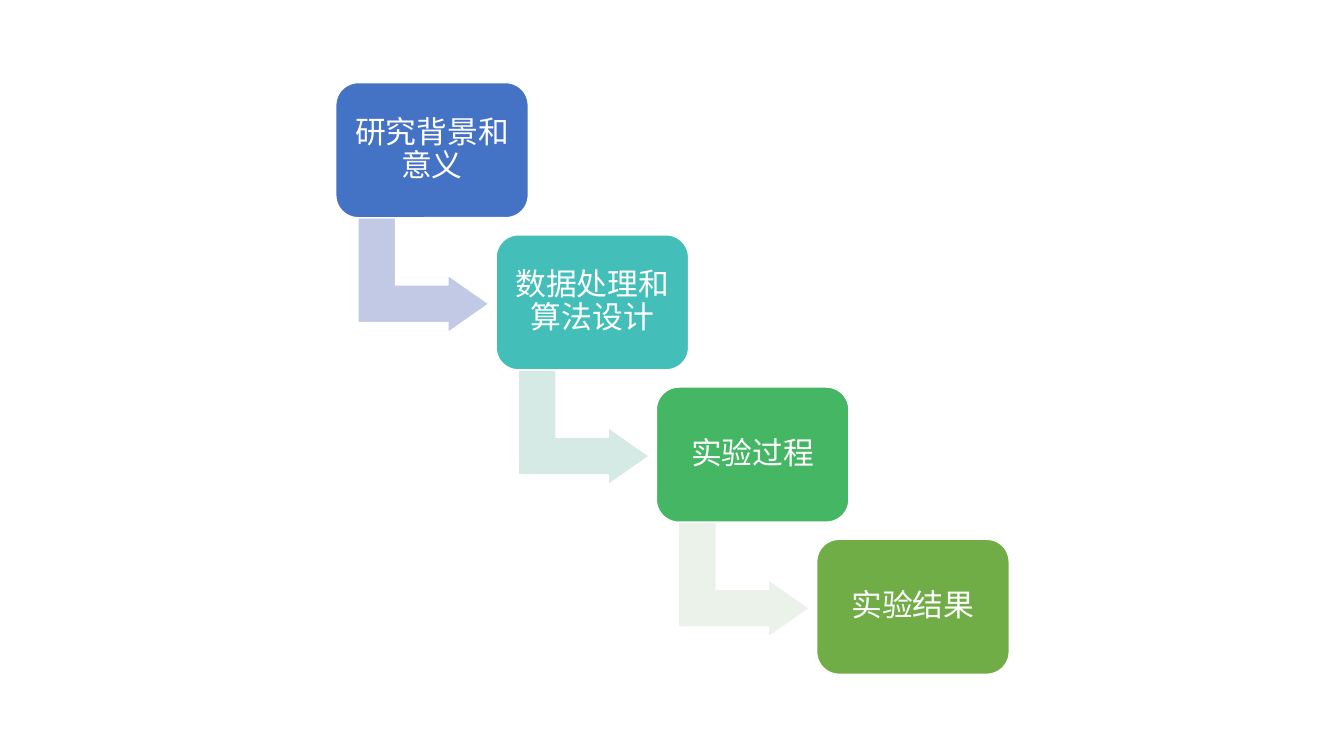
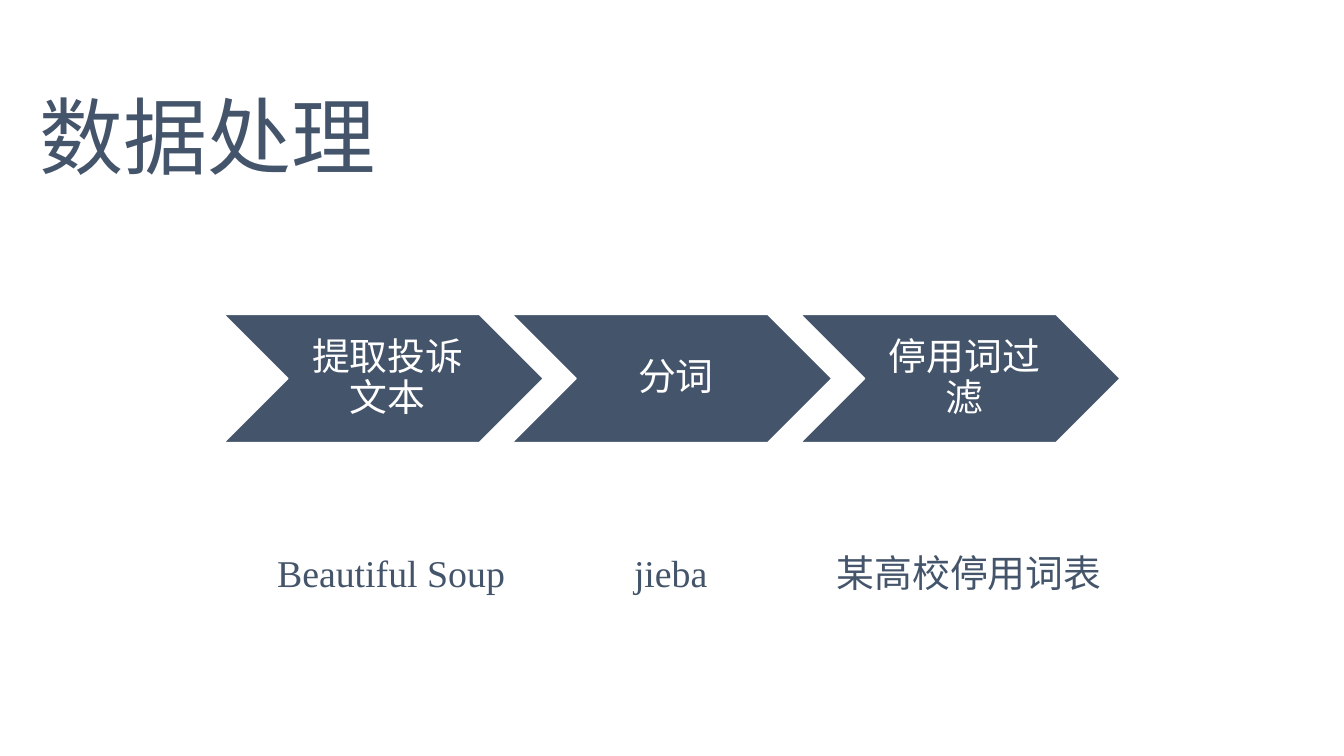
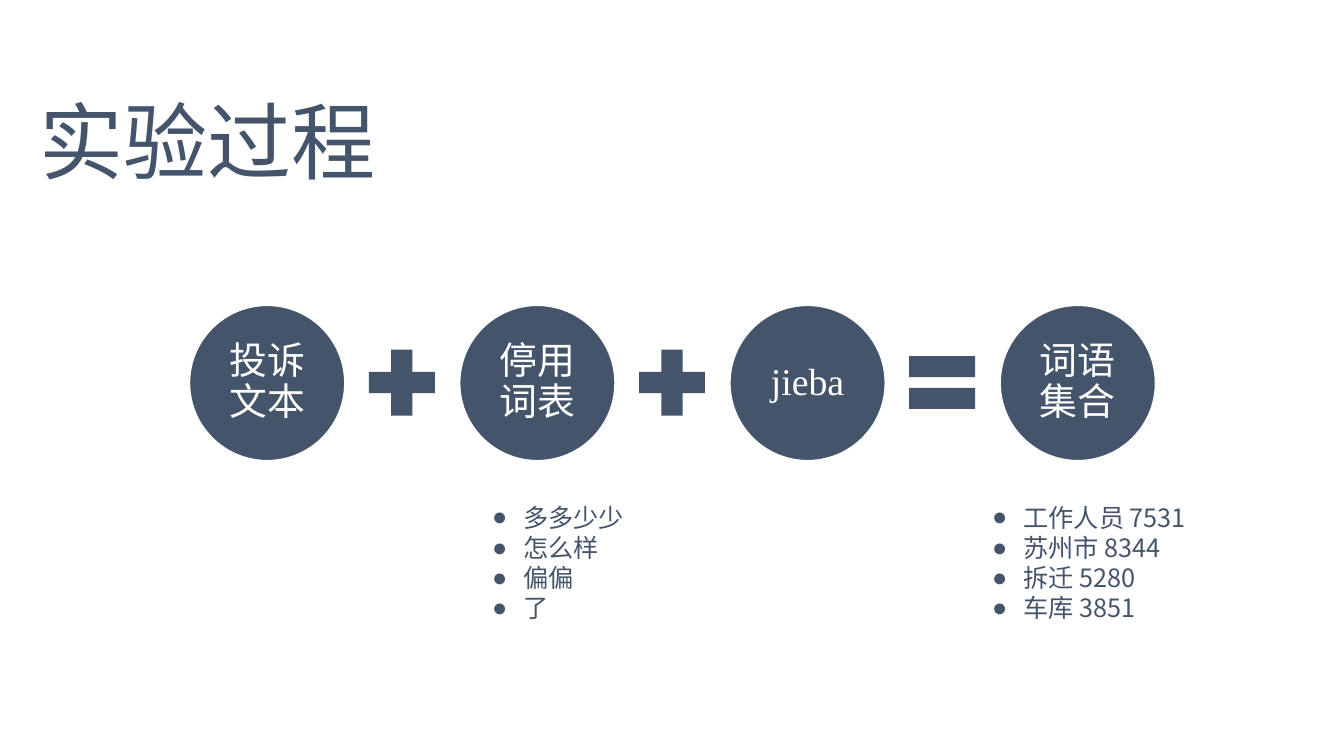
from lxml import etree
from pptx import Presentation
from pptx.dml.color import RGBColor
from pptx.enum.shapes import MSO_SHAPE as Shape
from pptx.enum.text import MSO_ANCHOR as Anchor, MSO_AUTO_SIZE as AutoSize, PP_ALIGN as Align
from pptx.oxml.ns import qn
from pptx.util import Inches, Pt

COLORS = {"slate": "44546A", "white": "FFFFFF"}
CHINESE, LATIN = "Noto Sans CJK SC", "Times New Roman"

# text, box colour, colour of the arrow to the next box
STEPS = [
    ("研究背景和意义", "4472C4", "C1C9E4"),
    ("数据处理和算法设计", "43BEB9", "D6EAE5"),
    ("实验过程", "45B664", "EBF2E9"),
    ("实验结果", "70AD47", None),
]
# stage, tool, left and width of the tool's caption
STAGES = [
    ("提取投诉文本", "Beautiful Soup", 2.65, 2.48),
    ("分词", "jieba", 6.19, 1.0),
    ("停用词过滤", "某高校停用词表", 8.2, 2.9),
]
# term, operator that follows it
EQUATION = [
    ("投诉文本", Shape.MATH_PLUS),
    ("停用词表", Shape.MATH_PLUS),
    ("jieba", Shape.MATH_EQUAL),
    ("词语集合", None),
]
# left, width, items
EXAMPLES = [
    (4.78, 1.73, ["多多少少", "怎么样", "偏偏", "了"]),
    (9.74, 2.28, ["工作人员 7531", "苏州市 8344", "拆迁 5280", "车库 3851"]),
]


def rgb(color):
    return RGBColor.from_string(COLORS.get(color, color))


def place(shape, left, top, width, height):
    shape.left, shape.top = Inches(left), Inches(top)
    shape.width, shape.height = Inches(width), Inches(height)


def style(paragraph, size, color):
    """Set the font, for Chinese glyphs as well as Latin ones."""
    font = paragraph.font
    font.size = Pt(size)
    font.color.rgb = rgb(color)
    font.name = LATIN if paragraph.text.isascii() else CHINESE
    latin = paragraph._p.pPr.find(qn("a:defRPr")).find(qn("a:latin"))
    east_asian = etree.Element(qn("a:ea"), typeface=CHINESE)
    latin.addnext(east_asian)


def write(shape, lines, size, color="slate", align=Align.LEFT, anchor=Anchor.TOP):
    frame = shape.text_frame
    frame.text = "\n".join(lines)
    frame.word_wrap = True
    frame.auto_size = AutoSize.NONE
    frame.vertical_anchor = anchor
    for paragraph in frame.paragraphs:
        paragraph.alignment = align
        paragraph.space_before = Pt(0)
        style(paragraph, size, color)


def add_figure(slide, kind, left, top, width, height, fill="slate", outlined=True):
    shape = slide.shapes.add_shape(kind, Inches(left), Inches(top), Inches(width), Inches(height))
    shape.shadow.inherit = False
    shape.fill.solid()
    shape.fill.fore_color.rgb = rgb(fill)
    if outlined:
        shape.line.color.rgb = rgb("white")
        shape.line.width = Pt(1)
    else:
        shape.line.fill.background()
    return shape


def label(shape, text, size, inset, left_inset=None):
    write(shape, [text], size, "white", Align.CENTER, Anchor.MIDDLE)
    frame = shape.text_frame
    frame.margin_left = Inches(left_inset or inset)
    frame.margin_right = frame.margin_top = frame.margin_bottom = Inches(inset)
    frame.paragraphs[0].line_spacing = 0.9


def set_title(slide, text, top):
    place(slide.shapes.title, 0.29, top, 3.62, 1.11)
    write(slide.shapes.title, [text], 60)


def add_bullets(shape):
    for paragraph in shape.text_frame.paragraphs:
        properties = paragraph._p.pPr
        properties.set("marL", str(Inches(0.31)))
        properties.set("indent", str(-Inches(0.31)))
        bullet = etree.Element(qn("a:buChar"), char="●")
        properties.find(qn("a:defRPr")).addprevious(bullet)


def build_outline(slide):
    for index, (text, fill, arrow_fill) in enumerate(STEPS):
        left, top = 3.33 + 1.59 * index, 0.82 + 1.51 * index
        if arrow_fill:
            arrow = add_figure(slide, Shape.BENT_UP_ARROW, left + 0.3, top + 1.26, 1.14, 1.3, arrow_fill)
            arrow.rotation = 90
            for number, value in enumerate((0.328, 0.25, 0.358)):
                arrow.adjustments[number] = value
        box = add_figure(slide, Shape.ROUNDED_RECTANGLE, left, top, 1.91, 1.34, fill)
        label(box, text, 22, 0.09)


def build_processing(slide):
    set_title(slide, "数据处理", 0.79)
    for index, (stage, tool, caption_left, caption_width) in enumerate(STAGES):
        chevron = add_figure(slide, Shape.CHEVRON, 2.22 + 2.86 * index, 3.12, 3.17, 1.27)
        label(chevron, stage, 27, 0.04, left_inset=0.12)
        caption = slide.shapes.add_textbox(
            Inches(caption_left), Inches(5.4), Inches(caption_width), Inches(0.56))
        write(caption, [tool], 27)


def build_experiment(slide):
    set_title(slide, "实验过程", 0.84)
    for index, (term, operator) in enumerate(EQUATION):
        left = 1.88 + 2.68 * index
        circle = add_figure(slide, Shape.OVAL, left, 3.03, 1.54, 1.54)
        label(circle, term, 27, 0.04)
        if operator:
            add_figure(slide, operator, left + 1.66, 3.35, 0.89, 0.89, outlined=False)
    for body, (left, width, items) in zip(list(slide.placeholders)[1:], EXAMPLES):
        place(body, left, 4.93, width, 1.31)
        write(body, items, 18)
        add_bullets(body)


def main():
    presentation = Presentation()
    presentation.slide_width, presentation.slide_height = Inches(13.33), Inches(7.5)
    layouts = {layout.name: layout for layout in presentation.slide_layouts}
    for layout_name, build in (("Blank", build_outline), ("Title Only", build_processing),
                               ("Two Content", build_experiment)):
        build(presentation.slides.add_slide(layouts[layout_name]))
    presentation.save("out.pptx")


if __name__ == "__main__":
    main()
